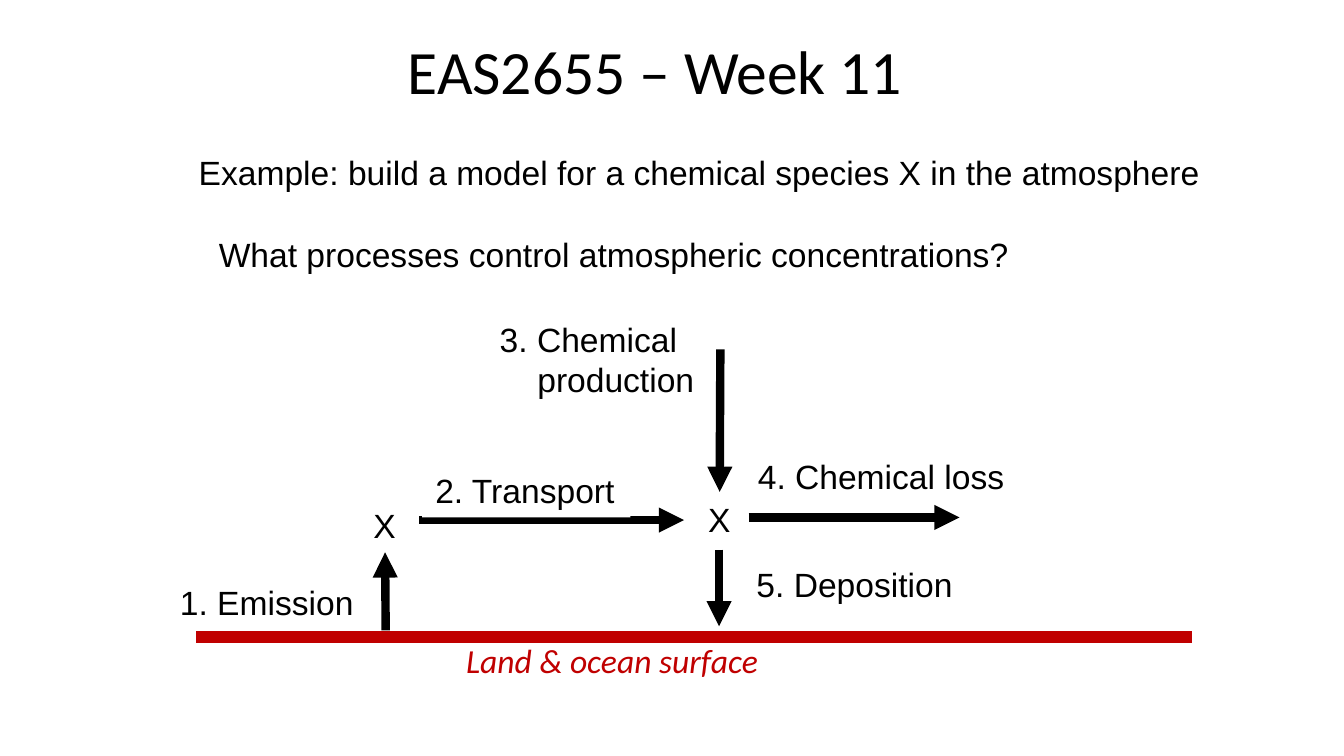
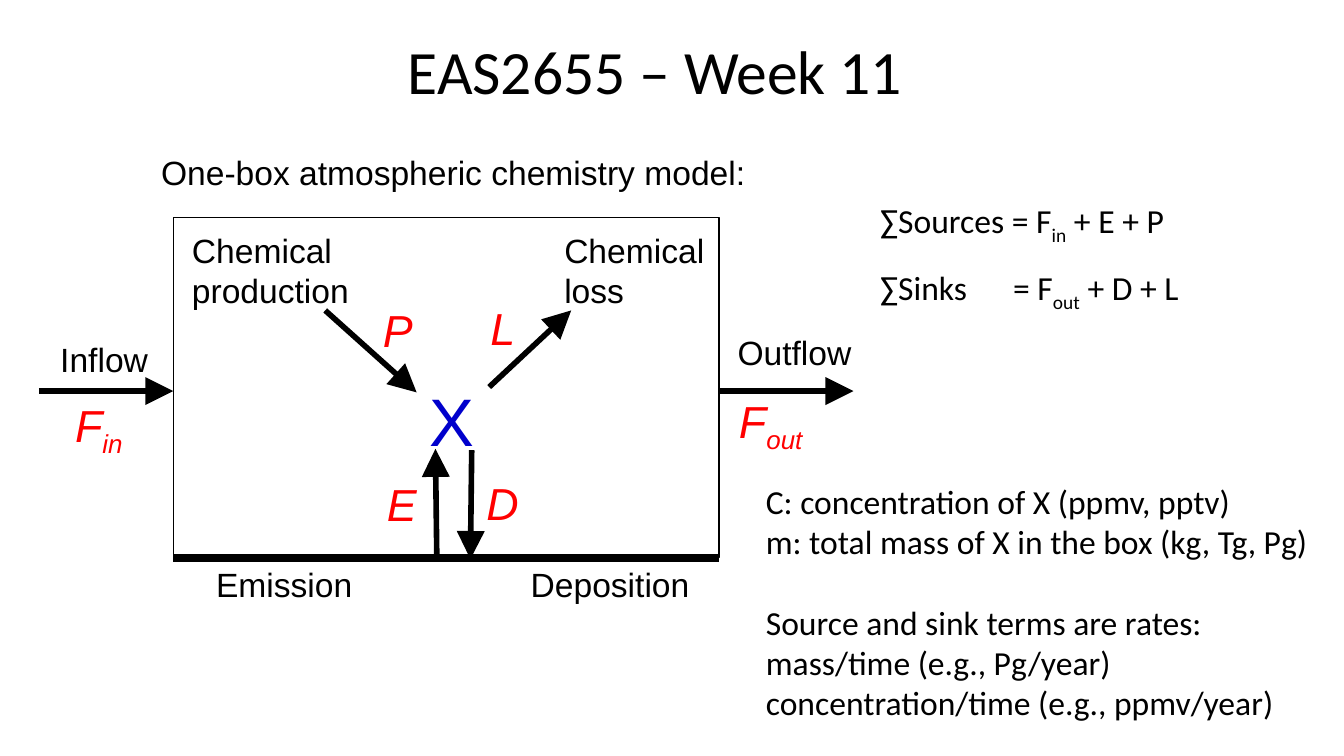
from lxml import etree
from pptx import Presentation
from pptx.dml.color import RGBColor
from pptx.enum.shapes import MSO_CONNECTOR, MSO_SHAPE
from pptx.enum.text import MSO_AUTO_SIZE, PP_ALIGN
from pptx.oxml.ns import qn
from pptx.util import Inches, Pt

BLACK = RGBColor(0x00, 0x00, 0x00)
WHITE = RGBColor(0xFF, 0xFF, 0xFF)
DARK_RED = RGBColor(0xC0, 0x00, 0x00)
RED = RGBColor(0xFF, 0x00, 0x00)
BLUE = RGBColor(0x00, 0x00, 0xCC)

STRAIGHT = MSO_CONNECTOR.STRAIGHT
RECTANGLE = MSO_SHAPE.RECTANGLE
GROW = MSO_AUTO_SIZE.SHAPE_TO_FIT_TEXT
FIXED = MSO_AUTO_SIZE.NONE
CENTER = PP_ALIGN.CENTER

SANS = "Arial"
BODY = "Calibri"
TOP, BOTTOM = 0, 2  # connection sites of a rectangle


class Deck:
    """Holds the shared style and the slide being built."""

    def __init__(self):
        self.prs = Presentation()
        self.prs.slide_width = Inches(10)
        self.prs.slide_height = Inches(10 * 9 / 16)
        self.s = None

    def slide(self, title):
        self.s = self.prs.slides.add_slide(self.prs.slide_layouts[6])
        tb = self.text(1.56, 0.26, 6.63, 1.09, title, font=BODY, size=33, wrap=True)
        tb.text_frame.auto_size = FIXED
        p = tb.text_frame.paragraphs[0]
        p.alignment = CENTER
        p.line_spacing = 0.9

    def text(self, x, y, w, h, *lines, font=SANS, size=18, color=BLACK,
             italic=False, wrap=False, tab=None):
        """Each line is a string, or a tuple whose every second part is a subscript."""
        tb = self.s.shapes.add_textbox(Inches(x), Inches(y), Inches(w), Inches(h))
        tf = tb.text_frame
        tf.word_wrap = wrap
        tf.auto_size = GROW
        for i, line in enumerate(lines):
            p = tf.add_paragraph() if i else tf.paragraphs[0]
            parts = (line,) if isinstance(line, str) else line
            for j, part in enumerate(parts):
                r = p.add_run()
                r.text = part
                if j % 2:
                    r._r.get_or_add_rPr().set("baseline", "-25000")
            if tab:
                tabs = etree.SubElement(p._p.get_or_add_pPr(), qn("a:tabLst"))
                etree.SubElement(tabs, qn("a:tab"), pos=str(Inches(tab)), algn="l")
            p.font.name = font
            p.font.size = Pt(size)
            p.font.color.rgb = color
            p.font.italic = italic
        return tb

    def label(self, x, y, w, *lines, h=0.4):
        """Text on a white background."""
        tb = self.text(x, y, w, h, *lines)
        tb.fill.solid()
        tb.fill.fore_color.rgb = WHITE
        return tb

    def symbol(self, x, y, w, *parts, wrap=False):
        """Red italic symbol of a flux."""
        return self.text(x, y, w, 0.46, parts, size=24, color=RED, italic=True, wrap=wrap)

    def line(self, x1, y1, x2, y2, width, color=BLACK):
        c = self.s.shapes.add_connector(STRAIGHT, Inches(x1), Inches(y1), Inches(x2), Inches(y2))
        c.line.color.rgb = color
        c.line.width = Pt(width)
        etree.SubElement(c._element.spPr, qn("a:effectLst"))
        return c

    def arrow(self, x1, y1, x2, y2, width=4.5, head="med"):
        c = self.line(x1, y1, x2, y2, width)
        etree.SubElement(c.line._get_or_add_ln(), qn("a:tailEnd"),
                         type="triangle", w=head, len=head)
        return c

    def frame(self, x, y, w, h):
        box = self.s.shapes.add_shape(RECTANGLE, Inches(x), Inches(y), Inches(w), Inches(h))
        box.shadow.inherit = False
        box.fill.background()
        box.line.color.rgb = BLACK
        box.line.width = Pt(0.75)
        return box


def build_processes(deck):
    deck.slide("EAS2655 – Week 11")
    deck.label(1.38, 1.08, 7.82, "Example: build a model for a chemical species X in the atmosphere")
    deck.label(1.53, 1.69, 6.13, "What processes control atmospheric concentrations?")

    # Surface
    deck.line(1.46, 4.74, 8.87, 4.74, 6, DARK_RED)

    # Emission and transport
    x_source = deck.label(2.68, 3.71, 0.37, "X")
    deck.label(1.24, 4.28, 1.51, "1. Emission")
    emission = deck.arrow(2.87, 4.69, 2.87, 4.11)
    emission.end_connect(x_source, BOTTOM)
    deck.arrow(3.12, 3.87, 5.09, 3.87)
    x_center = deck.label(5.17, 3.66, 0.37, "X")
    deck.label(3.14, 3.45, 1.55, "2. Transport")

    # Production, loss and deposition
    production = deck.arrow(5.36, 2.6, 5.36, 3.65)
    production.end_connect(x_center, TOP)
    tb = deck.label(3.62, 2.32, 1.66, "3. Chemical", "production", h=0.71)
    tb.text_frame.paragraphs[1]._p.get_or_add_pPr().set("marL", str(Inches(0.28)))
    deck.arrow(5.57, 3.85, 7.14, 3.85)
    deck.label(5.54, 3.34, 2.05, "4. Chemical loss")
    deck.arrow(5.35, 4.09, 5.35, 4.66)
    deck.label(5.53, 4.15, 1.68, "5. Deposition")

    deck.text(3.37, 4.71, 3.43, 0.4, "Land & ocean surface",
              font=BODY, color=DARK_RED, italic=True, wrap=True)


def build_box_model(deck):
    deck.slide("EAS2655 – Week 11")
    deck.label(1.1, 1.08, 4.59, "One-box atmospheric chemistry model:")

    # Box and its floor
    left, top, width, height = 1.29, 1.62, 4.06, 2.53
    right, floor = left + width, top + height
    deck.frame(left, top, width, height)
    deck.line(left, floor, right, floor, 4.5)

    # Fluxes
    flow_y = 2.91
    for x1, y1, x2, y2 in (
        (left - 1, flow_y, left, flow_y),    # inflow
        (right, flow_y, right + 1, flow_y),  # outflow
        (3.25, 4.14, 3.24, 3.34),            # emission
        (3.51, 3.35, 3.5, 4.16),             # deposition
        (2.42, 2.31, 3.1, 2.92),             # production
        (3.64, 2.88, 4.25, 2.31),            # loss
    ):
        deck.arrow(x1, y1, x2, y2, width=3, head="lg")

    # Names of the fluxes
    for x, y, w, name in (
        (0.35, 2.47, 0.86, "Inflow"),
        (5.39, 2.42, 1.06, "Outflow"),
        (1.51, floor, 1.23, "Emission"),
        (3.85, floor, 1.39, "Deposition"),
    ):
        deck.text(x, y, w, 0.37, name)
    deck.text(1.33, 1.66, 1.38, 0.65, "Chemical", "production")
    deck.text(4.1, 1.66, 1.25, 0.65, "Chemical", "loss")

    # Symbols
    deck.text(3.1, 2.77, 0.53, 0.64, "X", size=36, color=BLUE)
    deck.symbol(2.78, 3.5, 0.43, "E")
    deck.symbol(3.52, 3.49, 0.45, "D")
    deck.symbol(2.75, 2.2, 0.43, "P")
    deck.symbol(3.55, 2.19, 0.39, "L")
    deck.symbol(0.46, 2.91, 0.58, "F", "in")
    deck.symbol(5.4, 2.88, 0.95, "F", "out", wrap=True)

    # Budget and definitions
    deck.text(6.45, 1.44, 3.47, 0.4, ("∑Sources = F", "in", " + E + P"), font=BODY, wrap=True)
    deck.text(6.45, 1.94, 3.47, 0.4, ("∑Sinks\t= F", "out", " + D + L"),
              font=BODY, wrap=True, tab=0.99)
    tb = deck.text(5.6, 3.53, 4.62, 2.22,
                   "C: concentration of X (ppmv, pptv)",
                   "m: total mass of X in the box (kg, Tg, Pg)",
                   "Source and sink terms are rates:",
                   "mass/time (e.g., Pg/year)",
                   "concentration/time (e.g., ppmv/year)",
                   font=BODY, wrap=True)
    tb.text_frame.paragraphs[2].space_before = Pt(21.5)


def main():
    deck = Deck()
    build_processes(deck)
    build_box_model(deck)
    deck.prs.save("out.pptx")


if __name__ == "__main__":
    main()
